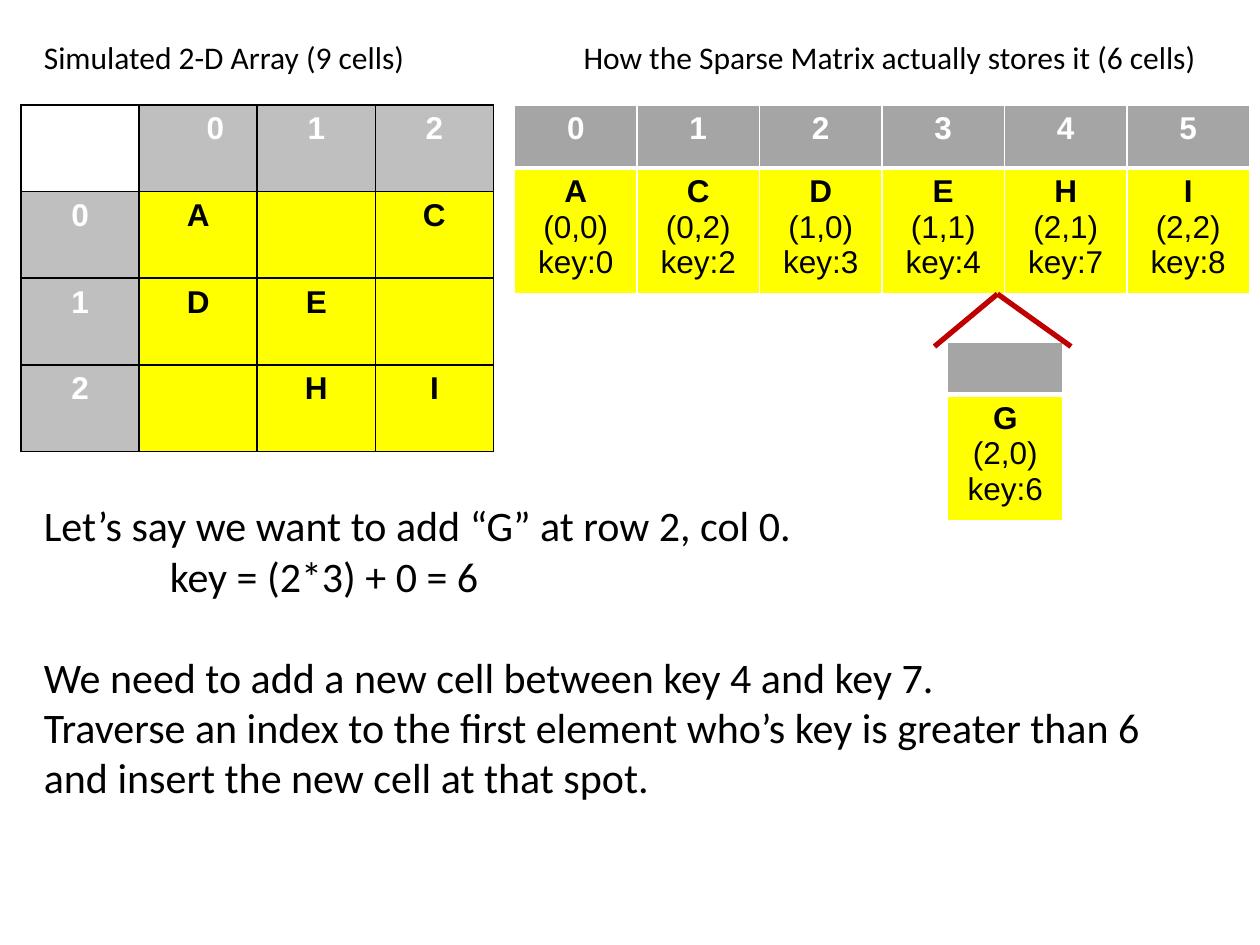
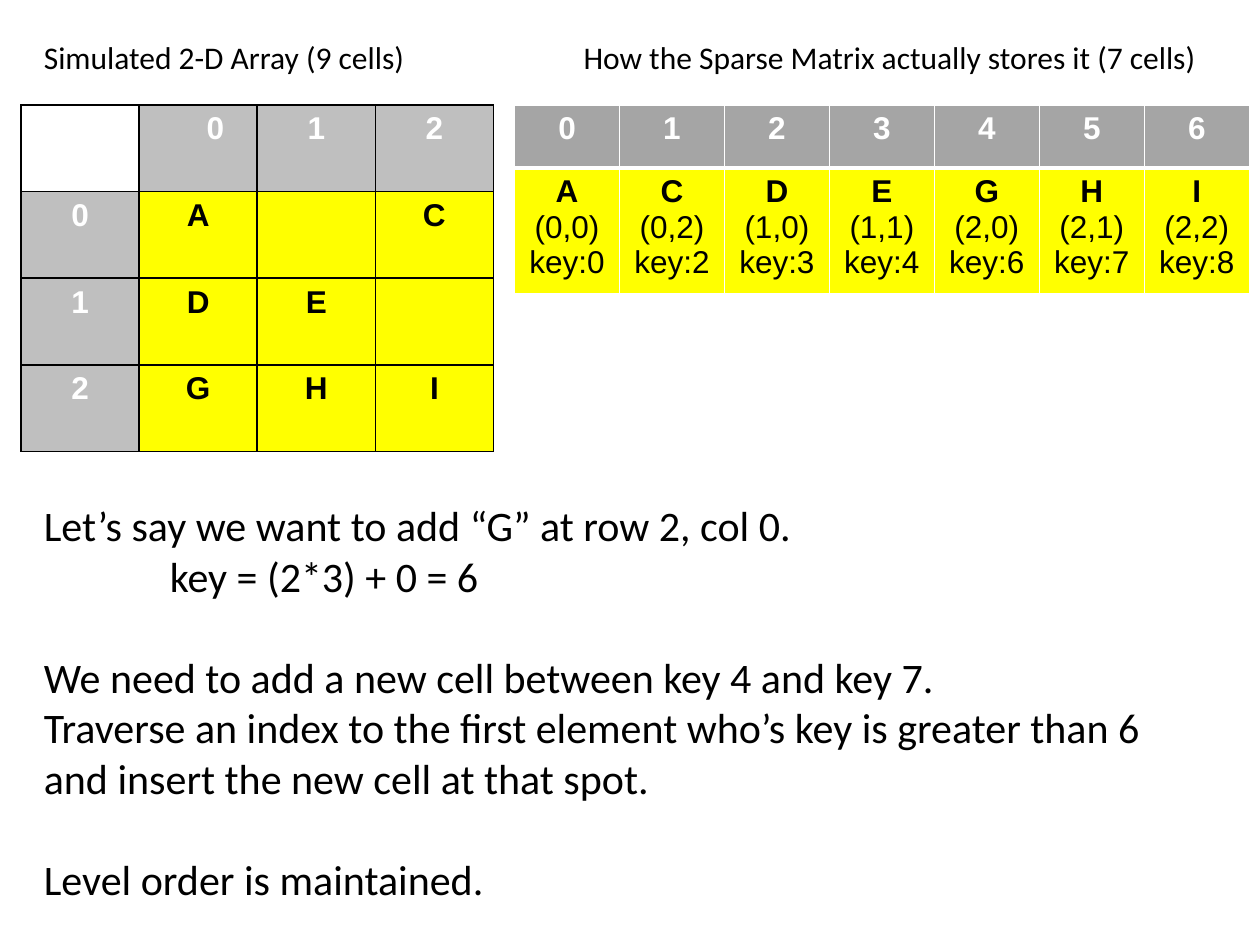
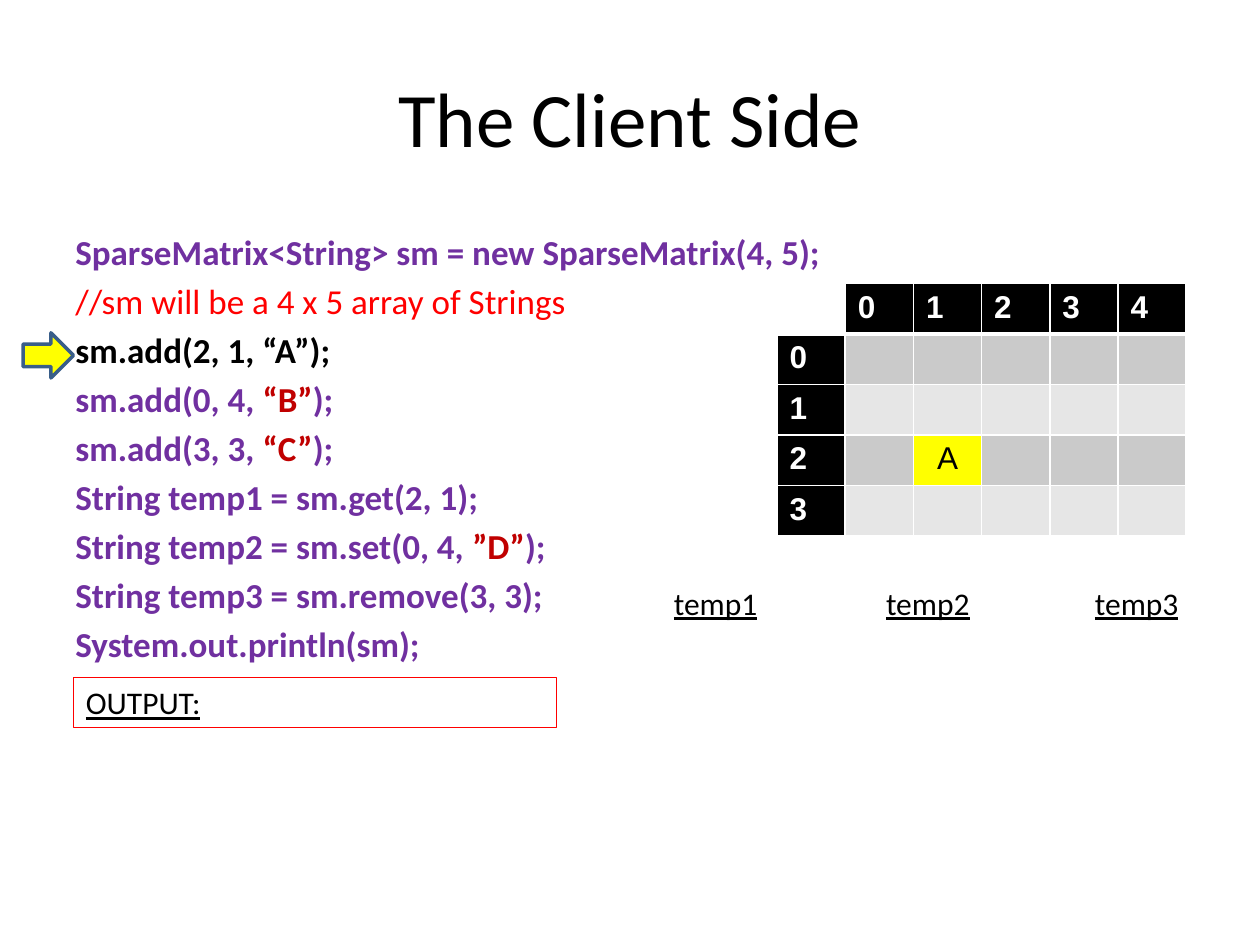
from dataclasses import dataclass
from typing import Any, Optional, Sequence

from lxml import etree
from pptx import Presentation
from pptx import util as u
from pptx.dml.color import RGBColor
from pptx.enum import shapes, text
from pptx.oxml import ns

COLORS = {
    "black": "000000", "white": "FFFFFF", "yellow": "FFFF00",
    "index": "BFBFBF", "header": "A5A5A5", "dark_band": "CACACA",
    "light_band": "E6E6E6", "code": "7030A0", "literal": "C00000",
    "red": "FF0000", "arrow_edge": "395E89",
}
COLUMNS, ROWS = 120, 90
SLIDE_WIDTH, SLIDE_HEIGHT = u.Inches(10), u.Inches(7.5)
ARRAY_SIZE = 3
LEFT, CENTER = text.PP_ALIGN.LEFT, text.PP_ALIGN.CENTER


@dataclass(frozen=True)
class Area:
    left: float
    top: float
    width: float
    height: float

    def lengths(self) -> tuple[int, int, int, int]:
        return across(self.left), down(self.top), across(self.width), down(self.height)


@dataclass(frozen=True)
class Run:
    words: str
    color: str = "black"
    bold: bool = False
    underline: bool = False


@dataclass(frozen=True)
class Line:
    runs: tuple[Run, ...]
    before: float = 0
    indent: float = 0


@dataclass(frozen=True)
class Cell:
    fill: str
    lines: tuple[Line, ...] = ()
    align: Any = CENTER
    shift: float = 0


@dataclass(frozen=True)
class Entry:
    letter: str
    row: int
    column: int


def across(columns: float) -> int:
    return round(SLIDE_WIDTH * columns / COLUMNS)


def down(rows: float) -> int:
    return round(SLIDE_HEIGHT * rows / ROWS)


def rgb(name: str) -> RGBColor:
    return RGBColor.from_string(COLORS[name])


def line(words: str, before: float = 0, indent: float = 0, **style: Any) -> Line:
    return Line((Run(words, **style),), before, indent)


def write(frame: Any, lines: Sequence[Line], *, size: float = 18, font: str = "Calibri",
          align: Any = LEFT, tabs: Sequence[float] = ()) -> None:
    for number, content in enumerate(lines):
        paragraph = frame.add_paragraph() if number else frame.paragraphs[0]
        paragraph.alignment = align
        if content.before:
            paragraph.space_before = u.Pt(content.before)
        properties = paragraph._p.get_or_add_pPr()
        if content.indent:
            properties.set("marL", str(across(content.indent)))
        if tabs:
            stops = etree.SubElement(properties, ns.qn("a:tabLst"))
            for stop in tabs:
                etree.SubElement(stops, ns.qn("a:tab"), pos=str(across(stop)), algn="l")
        for part in content.runs:
            run = paragraph.add_run()
            run.text = part.words
            run.font.name = font
            run.font.size = u.Pt(size)
            run.font.bold = part.bold
            run.font.underline = part.underline
            run.font.color.rgb = rgb(part.color)


def add_text(slide: Any, area: Area, lines: Sequence[Line], *,
             anchor: Any = text.MSO_ANCHOR.TOP, **style: Any) -> None:
    frame = slide.shapes.add_textbox(*area.lengths()).text_frame
    frame.word_wrap = True
    frame.vertical_anchor = anchor
    write(frame, lines, **style)


def add_preset(slide: Any, kind: Any, area: Area, *, edge: str, weight: float,
               fill: Optional[str] = None) -> Any:
    shape = slide.shapes.add_shape(kind, *area.lengths())
    shape.shadow.inherit = False
    if fill:
        shape.fill.solid()
        shape.fill.fore_color.rgb = rgb(fill)
    else:
        shape.fill.background()
    shape.line.color.rgb = rgb(edge)
    shape.line.width = u.Pt(weight)
    return shape


def add_stroke(slide: Any, start: tuple[float, float], end: tuple[float, float]) -> None:
    connector = slide.shapes.add_connector(
        shapes.MSO_CONNECTOR.STRAIGHT,
        across(start[0]), down(start[1]), across(end[0]), down(end[1]))
    connector.line.color.rgb = rgb("literal")
    connector.line.width = u.Pt(3)
    etree.SubElement(connector._element.spPr, ns.qn("a:effectLst"))


def set_borders(cell: Any, color: str, bottom: float) -> None:
    properties = cell._tc.get_or_add_tcPr()
    for position, (side, weight) in enumerate(zip("LRTB", (1, 1, 1, bottom))):
        border = etree.Element(ns.qn(f"a:ln{side}"), w=str(u.Pt(weight)))
        fill = etree.SubElement(border, ns.qn("a:solidFill"))
        etree.SubElement(fill, ns.qn("a:srgbClr"), val=COLORS[color])
        properties.insert(position, border)


def add_grid(slide: Any, area: Area, heights: Sequence[float],
             rows: Sequence[Sequence[Cell]], *, border: str = "white",
             header_rule: float = 3) -> None:
    table = slide.shapes.add_table(len(rows), len(rows[0]), *area.lengths()).table
    table.first_row = table.horz_banding = False
    for column in table.columns:
        column.width = across(area.width / len(rows[0]))
    for row_number, contents in enumerate(rows):
        table.rows[row_number].height = down(heights[row_number])
        for column_number, content in enumerate(contents):
            cell = table.cell(row_number, column_number)
            cell.fill.solid()
            cell.fill.fore_color.rgb = rgb(content.fill)
            set_borders(cell, border, 1 if row_number else header_rule)
            if content.lines:
                cell.margin_left = u.Inches(0.1) + across(content.shift)
                write(cell.text_frame, content.lines, font="Arial", align=content.align)
            else:
                cell.margin_top = cell.margin_bottom = 0


def label(words: Any, fill: str, **options: Any) -> Cell:
    return Cell(fill, (line(str(words), color="white", bold=True),), **options)


def value(letter: str) -> Cell:
    return Cell("yellow", (line(letter, bold=True),) if letter.strip() else ())


def stored(entry: Entry) -> Cell:
    key = entry.row * ARRAY_SIZE + entry.column
    return Cell("yellow", (line(entry.letter, bold=True),
                           line(f"({entry.row},{entry.column})"), line(f"key:{key}")))


def build_insertion(slide: Any, letters: Sequence[str], closing: Sequence[Line] = ()) -> None:
    entries = [Entry(letter, row, column) for row, word in enumerate(letters)
               for column, letter in enumerate(word) if letter.strip()]
    heading = [Cell("white")] + [label(number, "index", shift=0 if number else 3.3)
                                 for number in range(ARRAY_SIZE)]
    body = [[label(row, "index")] + [value(letter) for letter in word]
            for row, word in enumerate(letters)]
    add_grid(slide, Area(2, 10, 45, 33), [33 / 4] * 4, [heading] + body,
             border="black", header_rule=1)
    add_grid(slide, Area(49, 10, 70, 18), [6, 12],
             [[label(index, "header") for index in range(len(entries))],
              [stored(entry) for entry in entries]])
    add_text(slide, Area(3, 3, 115, 4.8), [line(
        "Simulated 2-D Array (9 cells)\t"
        f"How the Sparse Matrix actually stores it ({len(entries)} cells)")], tabs=[51.4])
    add_text(slide, Area(3, 47, 113, 40 if closing else 35), [
        line("Let’s say we want to add “G” at row 2, col 0."),
        line("key = (2*3) + 0 = 6", indent=12),
        line("We need to add a new cell between key 4 and key 7.", before=29),
        line("Traverse an index to the first element who’s key is greater than 6 "
             "and insert the new cell at that spot."),
        *closing], size=24)


def build_new_cell(slide: Any) -> None:
    add_grid(slide, Area(90.25, 32.6, 11, 17), [5, 10.2],
             [[Cell("header")], [stored(Entry("G", 2, 0))]])
    peak = (95, 28)
    add_stroke(slide, (89, 33), peak)
    add_stroke(slide, peak, (102, 33))


def code(*parts: str, color: str = "code", bold: bool = True, before: float = 4) -> Line:
    return Line(tuple(Run(part, "literal" if number % 2 else color, bold)
                      for number, part in enumerate(parts)), before)


def build_client(slide: Any) -> None:
    add_text(slide, Area(6, 3.6, 108, 15), [line("The Client Side")], size=44,
             align=CENTER, anchor=text.MSO_ANCHOR.MIDDLE)
    add_text(slide, Area(6, 21.4, 108, 59), [
        code("SparseMatrix<String> sm = new SparseMatrix(4, 5);", before=0),
        code("//sm will be a 4 x 5 array of Strings", color="red", bold=False),
        code("sm.add(2, 1, “A”);", color="black"),
        code("sm.add(0, 4, ", "“B”", ");"),
        code("sm.add(3, 3, ", "“C”", ");"),
        code("String temp1 = sm.get(2, 1);"),
        code("String temp2 = sm.set(0, 4, ", "”D”", ");"),
        code("String temp3 = sm.remove(3, 3);"),
        code("System.out.println(sm);")], size=20)
    rows = [[Cell("white")] + [label(number, "black", align=LEFT) for number in range(5)]]
    for number in range(4):
        band = "light_band" if number % 2 else "dark_band"
        rows.append([label(number, "black", align=LEFT)] + [Cell(band)] * 5)
    rows[3][2] = Cell("yellow", (line("A"),))
    add_grid(slide, Area(74, 27, 39, 23), [4.6] * 5, rows)
    add_text(slide, Area(63, 55, 51, 4.8), [Line((
        Run("temp1", underline=True), Run("\t"), Run("temp2", underline=True),
        Run("\t"), Run("temp3", underline=True)))], tabs=[20.2, 40.1])
    output = add_preset(slide, shapes.MSO_SHAPE.RECTANGLE, Area(7, 64.5, 46, 4.8),
                        edge="red", weight=0.75)
    output.text_frame.vertical_anchor = text.MSO_ANCHOR.TOP
    write(output.text_frame, [line("OUTPUT:", underline=True)])
    add_preset(slide, shapes.MSO_SHAPE.RIGHT_ARROW, Area(2.2, 31.7, 4.8, 4.3),
               edge="arrow_edge", weight=2, fill="yellow")


def main() -> None:
    presentation = Presentation()
    presentation.slide_width, presentation.slide_height = SLIDE_WIDTH, SLIDE_HEIGHT
    before, after, client = (
        presentation.slides.add_slide(presentation.slide_layouts[6]) for _ in range(3))
    build_insertion(before, ["A C", "DE ", " HI"])
    build_new_cell(before)
    build_insertion(after, ["A C", "DE ", "GHI"],
                    [line("Level order is maintained.", before=29)])
    build_client(client)
    presentation.save("out.pptx")


if __name__ == "__main__":
    main()
